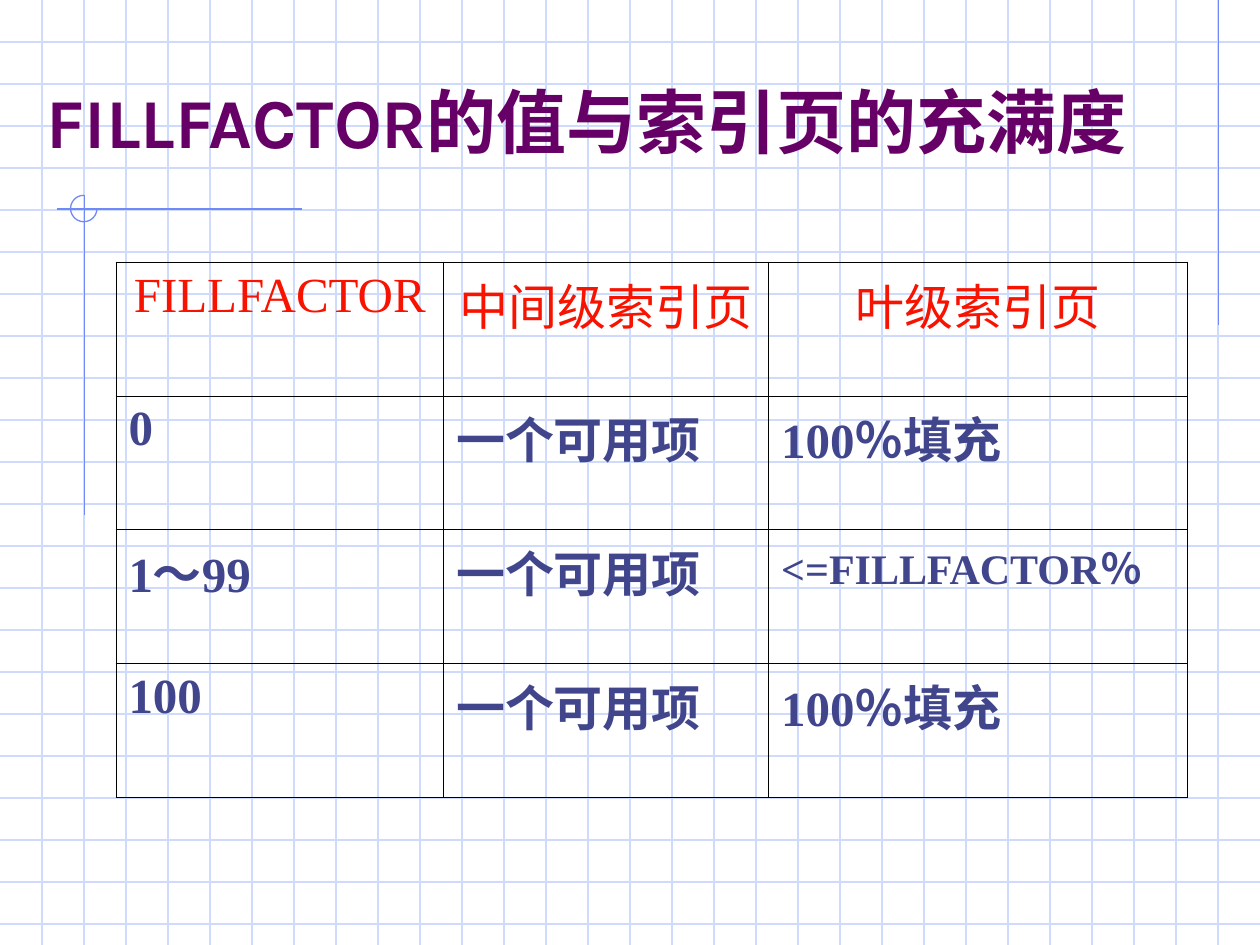
from dataclasses import dataclass

from pptx import Presentation
from pptx.dml.color import RGBColor
from pptx.enum.shapes import MSO_CONNECTOR, MSO_SHAPE
from pptx.enum.text import MSO_ANCHOR, MSO_AUTO_SIZE, PP_ALIGN
from pptx.oxml import parse_xml
from pptx.oxml.ns import nsdecls
from pptx.util import Inches, Pt


@dataclass(frozen=True)
class Theme:
    grid: RGBColor = RGBColor(0xCF, 0xDB, 0xFD)
    accent: RGBColor = RGBColor(0x6F, 0x89, 0xF7)
    title: RGBColor = RGBColor(0x66, 0x00, 0x66)
    header: RGBColor = RGBColor(0xF8, 0x12, 0x00)
    body: RGBColor = RGBColor(0x40, 0x45, 0x8C)
    border: str = "000000"
    title_font: str = "Karla"
    table_font: str = "Times New Roman"
    title_size: int = 40
    table_size: int = 28
    small_size: int = 24
    line_width: float = 0.75
    border_width: float = 0.45


THEME = Theme()
WIDTH, HEIGHT = 10, 7.5
GRID_PER_INCH = 3

COLUMN_WIDTHS = [2.6, 2.58, 3.32]
TABLE_HEIGHT = 4.25
LONG_ENTRY = "<=FILLFACTOR％"
FILL_LEVELS = [
    ["FILLFACTOR", "中间级索引页", "叶级索引页"],
    ["0", "一个可用项", "100％填充"],
    ["1～99", "一个可用项", LONG_ENTRY],
    ["100", "一个可用项", "100％填充"],
]


def add_line(slide, start, end, color):
    line = slide.shapes.add_connector(
        MSO_CONNECTOR.STRAIGHT, *map(Inches, (*start, *end)))
    line.line.color.rgb = color
    line.line.width = Pt(THEME.line_width)
    line._element.spPr.append(parse_xml(f"<a:effectLst {nsdecls('a')}/>"))


def add_run(paragraph, text, font_name, size, color, bold):
    run = paragraph.add_run()
    run.text = text
    run.font.name = font_name
    run.font.size = Pt(size)
    run.font.color.rgb = color
    run.font.bold = bold


def add_grid(slide):
    for step in range(1, int(HEIGHT * GRID_PER_INCH) + 1):
        y = step / GRID_PER_INCH
        add_line(slide, (0, y), (WIDTH, y), THEME.grid)
    for step in range(1, WIDTH * GRID_PER_INCH):
        x = step / GRID_PER_INCH
        add_line(slide, (x, 0), (x, HEIGHT), THEME.grid)


def add_ornament(slide):
    add_line(slide, (9.67, 0), (9.67, 2.58), THEME.accent)
    add_line(slide, (2.4, 1.66), (0.45, 1.66), THEME.accent)
    add_line(slide, (0.67, 1.55), (0.67, 4.09), THEME.accent)
    # Three quarters of a circle, open at the upper right
    ring = slide.shapes.add_shape(
        MSO_SHAPE.ARC, Inches(0.56), Inches(1.55), Inches(0.21), Inches(0.21))
    ring.adjustments[0] = 0
    ring.adjustments[1] = 162  # 270 degrees
    ring.shadow.inherit = False
    ring.fill.background()
    ring.line.color.rgb = THEME.accent
    ring.line.width = Pt(THEME.line_width)


def set_title(slide, text):
    title = slide.shapes.title
    # Bring the placeholder in front of the background lines
    slide.shapes._spTree.append(title._element)
    title.left, title.top = Inches(0.27), Inches(0.36)
    title.width, title.height = Inches(9.65), Inches(0.98)
    frame = title.text_frame
    frame.word_wrap = True
    frame.auto_size = MSO_AUTO_SIZE.NONE
    frame.vertical_anchor = MSO_ANCHOR.BOTTOM
    paragraph = frame.paragraphs[0]
    paragraph.alignment = PP_ALIGN.LEFT
    add_run(paragraph, text, THEME.title_font, THEME.title_size,
            THEME.title, True)


def set_borders(cell):
    properties = cell._tc.get_or_add_tcPr()
    for index, side in enumerate(("lnL", "lnR", "lnT", "lnB")):
        properties.insert(index, parse_xml(
            f'<a:{side} {nsdecls("a")} w="{Pt(THEME.border_width)}">'
            f'<a:solidFill><a:srgbClr val="{THEME.border}"/></a:solidFill>'
            f'</a:{side}>'))


def fill_cell(cell, text, is_header):
    cell.fill.background()
    set_borders(cell)
    paragraph = cell.text_frame.paragraphs[0]
    paragraph.alignment = PP_ALIGN.CENTER if is_header else PP_ALIGN.LEFT
    # Hanging indent
    indent = Inches(0.38)
    properties = paragraph._p.get_or_add_pPr()
    properties.set("marL", str(indent))
    properties.set("indent", str(-indent))
    size = THEME.small_size if text == LONG_ENTRY else THEME.table_size
    color = THEME.header if is_header else THEME.body
    add_run(paragraph, text, THEME.table_font, size, color, not is_header)


def add_fill_table(slide):
    table = slide.shapes.add_table(
        len(FILL_LEVELS), len(COLUMN_WIDTHS), Inches(0.92), Inches(2.08),
        Inches(sum(COLUMN_WIDTHS)), Inches(TABLE_HEIGHT)).table
    table.first_row = False
    table.horz_banding = False
    for column, width in zip(table.columns, COLUMN_WIDTHS):
        column.width = Inches(width)
    for row_index, entries in enumerate(FILL_LEVELS):
        for column_index, text in enumerate(entries):
            fill_cell(table.cell(row_index, column_index), text,
                      row_index == 0)


def main():
    presentation = Presentation()
    presentation.slide_width = Inches(WIDTH)
    presentation.slide_height = Inches(HEIGHT)
    slide = presentation.slides.add_slide(presentation.slide_layouts[5])

    # Squared-paper background
    add_grid(slide)
    add_ornament(slide)

    # Content
    set_title(slide, "FILLFACTOR的值与索引页的充满度")
    add_fill_table(slide)

    presentation.save("out.pptx")


if __name__ == "__main__":
    main()
